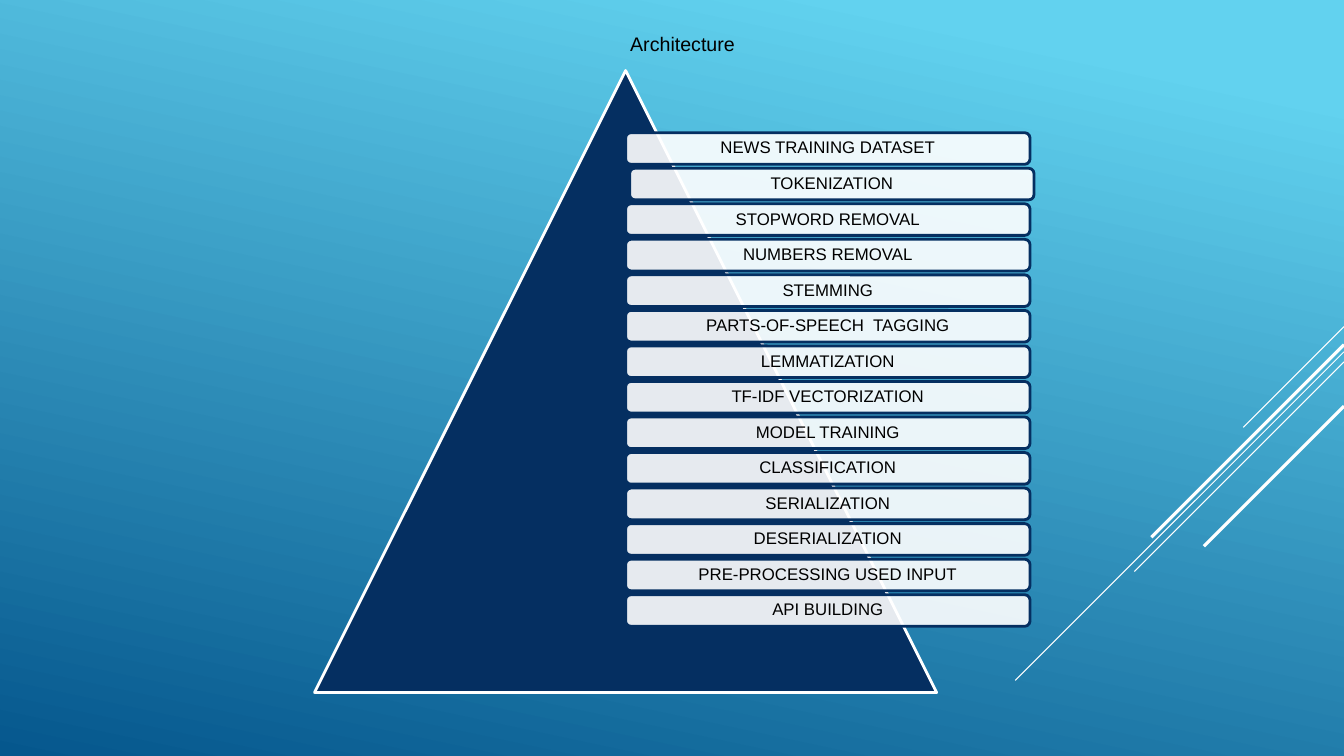
from dataclasses import dataclass

from lxml.etree import SubElement
from pptx import Presentation
from pptx.dml.color import RGBColor
from pptx.enum.shapes import MSO_CONNECTOR, MSO_SHAPE
from pptx.enum.text import MSO_ANCHOR, MSO_AUTO_SIZE, PP_ALIGN
from pptx.oxml.ns import qn
from pptx.util import Inches, Pt


@dataclass(frozen=True)
class Theme:
    sky: RGBColor = RGBColor.from_string("62D2EF")
    sea: RGBColor = RGBColor.from_string("05578D")
    navy: RGBColor = RGBColor.from_string("052F61")
    white: RGBColor = RGBColor.from_string("FFFFFF")
    ink: RGBColor = RGBColor.from_string("000000")
    face: str = "Arial"
    head: float = 14
    label: float = 12
    edge: float = 2
    thin: float = 0.75
    thick: float = 2.25


THEME = Theme()
WIDTH, HEIGHT = 13.33, 7.5

STEPS = [
    "NEWS TRAINING DATASET", "TOKENIZATION", "STOPWORD REMOVAL",
    "NUMBERS REMOVAL", "STEMMING", "PARTS-OF-SPEECH  TAGGING",
    "LEMMATIZATION", "TF-IDF VECTORIZATION", "MODEL TRAINING",
    "CLASSIFICATION", "SERIALIZATION", "DESERIALIZATION",
    "PRE-PROCESSING USED INPUT", "API BUILDING",
]
NUDGES = {"TOKENIZATION": 0.04}

# Drop below the top of the box, run to the left, line width
STREAKS = [
    (0, 1, THEME.thin),
    (0.25, 3.26, THEME.thin),
    (0.35, 2.08, THEME.thin),
    (0.18, 1.91, THEME.thick),
    (0.79, 1.39, THEME.thick),
]


def set_font(para, size):
    para.font.name = THEME.face
    para.font.size = Pt(size)
    para.font.color.rgb = THEME.ink


def add_panel(slide, kind, box, fill, line):
    panel = slide.shapes.add_shape(kind, *map(Inches, box))
    panel.shadow.inherit = False
    panel.fill.solid()
    panel.fill.fore_color.rgb = fill
    panel.line.color.rgb = line
    panel.line.width = Pt(THEME.edge)
    return panel


def paint_back(slide):
    fill = slide.background.fill
    fill.gradient()
    fill.gradient_angle = 258
    tints = [(0.1, THEME.sky), (1, THEME.sea)]
    for stop, (place, color) in zip(fill.gradient_stops, tints):
        stop.position = place
        stop.color.rgb = color


def add_streaks(slide, right, top):
    """Draw 45-degree lines that run down and left from the right edge."""
    for drop, run, weight in STREAKS:
        start = top + drop
        ends = (right, start, right - run, start + run)
        line = slide.shapes.add_connector(MSO_CONNECTOR.STRAIGHT, *map(Inches, ends))
        line.line.color.rgb = THEME.white
        line.line.width = Pt(weight)
        SubElement(line.element.spPr, qn("a:effectLst"))


def add_title(slide, text, box):
    title = slide.shapes.title
    title.left, title.top, title.width, title.height = map(Inches, box)
    frame = title.text_frame
    frame.text = text
    frame.word_wrap = False
    frame.auto_size = MSO_AUTO_SIZE.SHAPE_TO_FIT_TEXT
    frame.vertical_anchor = MSO_ANCHOR.TOP
    para = frame.paragraphs[0]
    para.alignment = PP_ALIGN.LEFT
    set_font(para, THEME.head)


def add_bar(slide, text, box):
    bar = add_panel(slide, MSO_SHAPE.ROUNDED_RECTANGLE, box, THEME.white, THEME.navy)
    tint = bar.element.spPr.find(qn("a:solidFill"))[0]
    SubElement(tint, qn("a:alpha"), val="90000")
    frame = bar.text_frame
    frame.margin_left = frame.margin_right = Inches(0.05)
    frame.margin_top = frame.margin_bottom = Inches(0.05)
    frame.vertical_anchor = MSO_ANCHOR.MIDDLE
    frame.word_wrap = True
    frame.text = text
    para = frame.paragraphs[0]
    para.alignment = PP_ALIGN.CENTER
    para.line_spacing = 0.9
    set_font(para, THEME.label)


def add_pyramid(slide, left, top, side):
    """Place the triangle, with the steps listed to the right of its axis."""
    add_panel(slide, MSO_SHAPE.ISOSCELES_TRIANGLE, (left, top, side, side),
              THEME.navy, THEME.white)
    pitch = side * 0.8 / len(STEPS)
    for row, step in enumerate(STEPS):
        x = left + side / 2 + NUDGES.get(step, 0)
        y = top + side * 0.1 + row * pitch
        add_bar(slide, step, (x, y, side * 0.65, pitch * 8 / 9))


def main():
    deck = Presentation()
    deck.slide_width, deck.slide_height = Inches(WIDTH), Inches(HEIGHT)
    slide = deck.slides.add_slide(deck.slide_layouts.get_by_name("Title Only"))
    paint_back(slide)
    add_streaks(slide, WIDTH, 3.24)
    add_title(slide, "Architecture", (6.15, 0.27, 1.25, 0.34))
    add_pyramid(slide, 3.12, 0.7, 6.17)
    deck.save("out.pptx")


if __name__ == "__main__":
    main()
